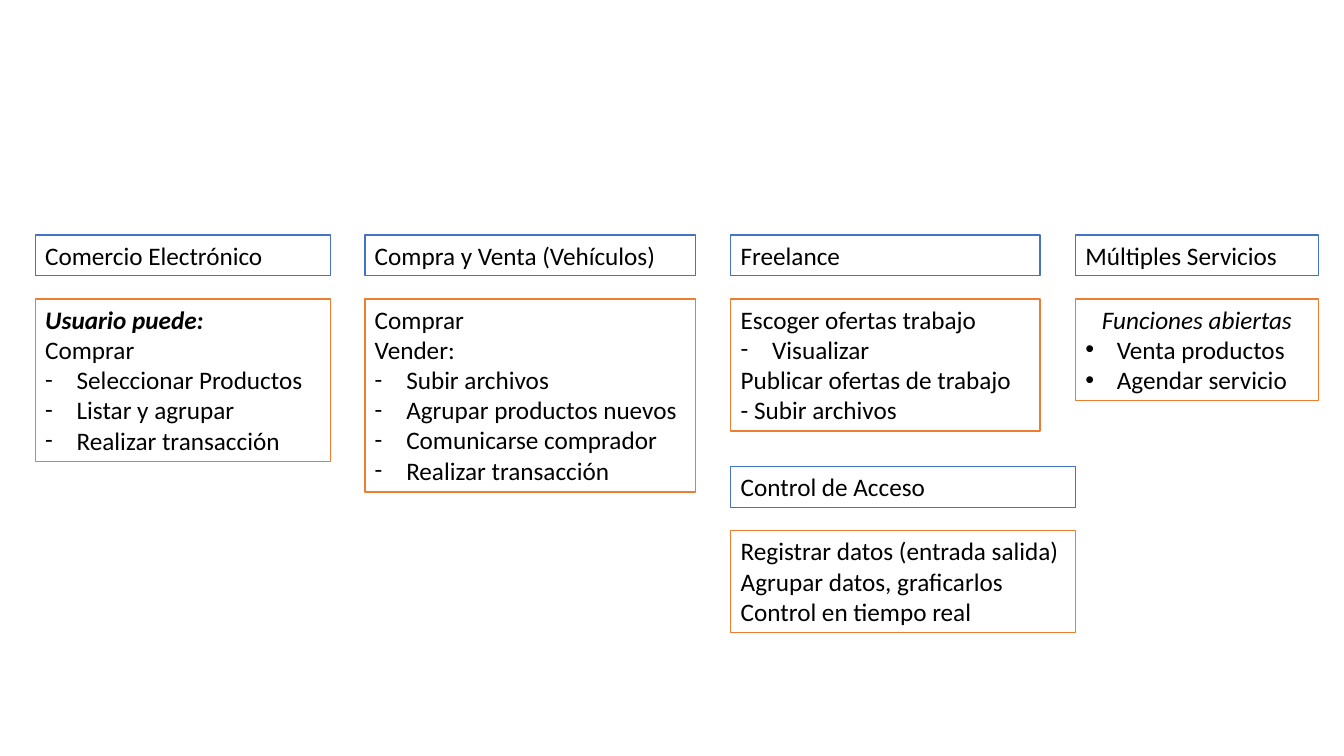
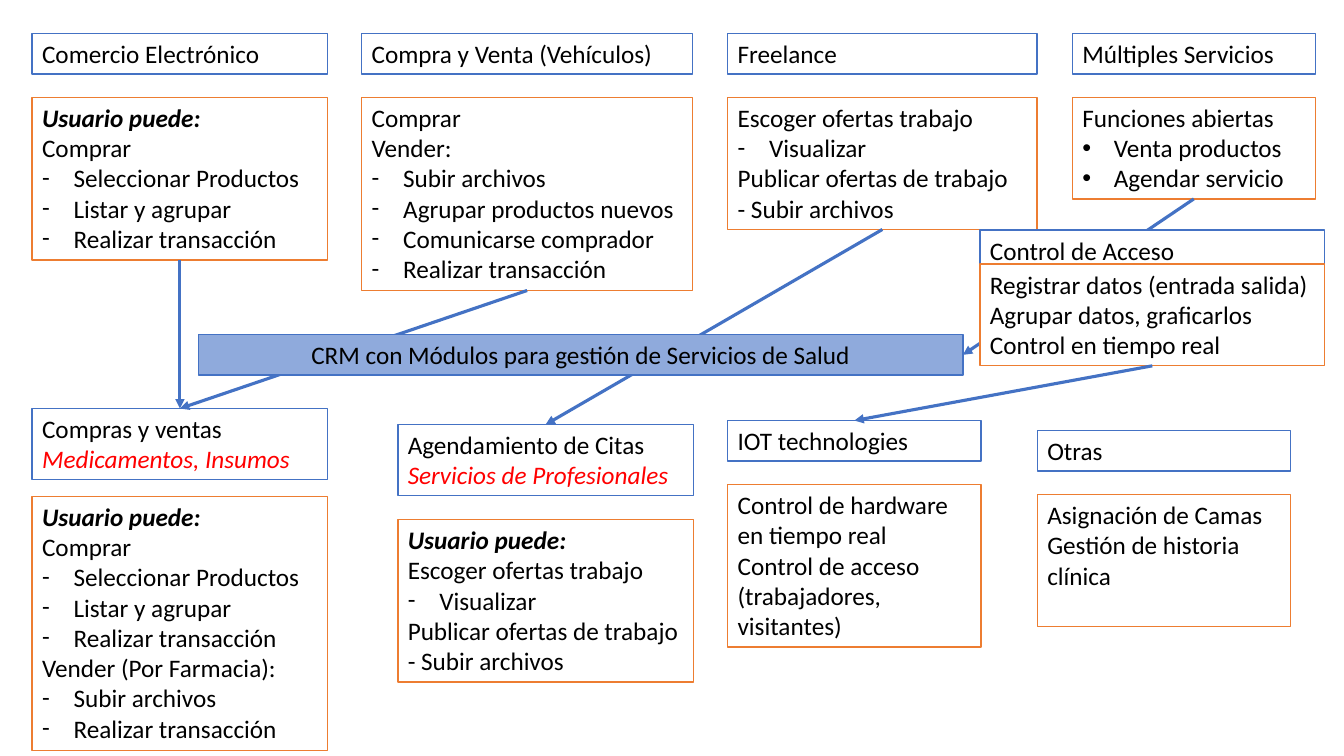
from pptx import Presentation
from pptx.dml.color import RGBColor
from pptx.enum.shapes import MSO_CONNECTOR as Connector, MSO_SHAPE as Shape
from pptx.enum.text import MSO_ANCHOR as Anchor, MSO_AUTO_SIZE as AutoSize, PP_ALIGN as Align
from pptx.oxml.ns import qn
from pptx.util import Pt
from lxml.etree import SubElement

COLORS = {
    "title": "4472C4",
    "body": "ED7D31",
    "banner": "8FAADC",
    "paper": "FFFFFF",
    "text": "000000",
    "accent": "FF0000",
}
STYLES = {
    "plain": {},
    "lead": {"bold": True, "italic": True},
    "centred": {"align": Align.CENTER},
    "centred italic": {"align": Align.CENTER, "italic": True},
    "red": {"italic": True, "color": "accent"},
    "dash": {"bullet": ("Calibri", "-")},
    "dot": {"bullet": ("Arial", "•")},
}
TOP, LEFT, BOTTOM, RIGHT = range(4)
TITLE_STEP = 45.7
COLUMNS = [(25.2, 211), (260.6, 236.2), (522, 221), (768.2, 173.5)]
CONTROL_WIDTH = 246.2


class Deck:
    """Holds the shared style and the slide being drawn."""

    font, size, indent = "Calibri", 18, 22.5
    line_height, padding = 21.8, 7.2

    def __init__(self):
        """Start an empty widescreen presentation."""
        self.presentation = Presentation()
        self.presentation.slide_width = Pt(960)
        self.presentation.slide_height = Pt(540)

    def new_slide(self):
        """Add a blank slide and make it current."""
        self.slide = self.presentation.slides.add_slide(self.presentation.slide_layouts[6])

    def color(self, name):
        """Look up a named colour."""
        return RGBColor.from_string(COLORS[name])

    def add_text(self, paragraph, text, style):
        """Add one run of text in a named style."""
        look = STYLES[style]
        paragraph.alignment = look.get("align", Align.LEFT)
        run = paragraph.add_run()
        run.text = text
        font = run.font
        font.name, font.size = self.font, Pt(self.size)
        font.bold, font.italic = look.get("bold", False), look.get("italic", False)
        font.color.rgb = self.color(look.get("color", "text"))
        if "bullet" in look:
            typeface, character = look["bullet"]
            properties = paragraph._p.get_or_add_pPr()
            properties.set("marL", str(Pt(self.indent)))
            properties.set("indent", str(-Pt(self.indent)))
            SubElement(properties, qn("a:buFont"), typeface=typeface)
            SubElement(properties, qn("a:buChar"), char=character)

    def box(self, left, top, width, lines, line="title", fill="paper", rows=None):
        """Draw a box whose height follows its number of text rows."""
        height = self.padding + self.line_height * (rows or len(lines))
        shape = self.slide.shapes.add_shape(
            Shape.RECTANGLE, Pt(left), Pt(top), Pt(width), Pt(height))
        shape.shadow.inherit = False
        shape.fill.solid()
        shape.fill.fore_color.rgb = self.color(fill)
        shape.line.color.rgb = self.color(line)
        shape.line.width = Pt(1)
        frame = shape.text_frame
        frame.word_wrap = True
        frame.vertical_anchor = Anchor.TOP
        frame.auto_size = AutoSize.NONE if rows else AutoSize.SHAPE_TO_FIT_TEXT
        for index, (style, text) in enumerate(lines):
            paragraph = frame.add_paragraph() if index else frame.paragraphs[0]
            self.add_text(paragraph, text, style)
        return shape

    def section(self, left, top, width, title, body, step=TITLE_STEP, rows=None):
        """Draw a title box with its body box below; return both."""
        return (self.box(left, top, width, title),
                self.box(left, top + step, width, body, line="body", rows=rows))

    def arrow(self, start, start_side, end, end_side):
        """Connect two boxes with an arrow."""
        connector = self.slide.shapes.add_connector(Connector.STRAIGHT, 0, 0, 0, 0)
        connector.begin_connect(start, start_side)
        connector.end_connect(end, end_side)
        connector.line.color.rgb = self.color("title")
        connector.line.width = Pt(2.25)
        properties = connector._element.spPr
        SubElement(properties.find(qn("a:ln")), qn("a:tailEnd"), type="triangle")
        SubElement(properties, qn("a:effectLst"))


def lines(style, *texts):
    """Give several lines the same style."""
    return [(style, text) for text in texts]


USER_CAN = lines("lead", "Usuario puede:")
SHOP = USER_CAN + lines("plain", "Comprar") + lines(
    "dash", "Seleccionar Productos", "Listar y agrupar", "Realizar transacción")
VEHICLES = lines("plain", "Comprar", "Vender:") + lines(
    "dash", "Subir archivos", "Agrupar productos nuevos",
    "Comunicarse comprador", "Realizar transacción")
JOBS = (lines("plain", "Escoger ofertas trabajo") + lines("dash", "Visualizar")
        + lines("plain", "Publicar ofertas de trabajo", "- Subir archivos"))
OPEN_SERVICES = lines("dot", "Venta productos", "Agendar servicio")
CONTROL_TITLE = lines("plain", "Control de Acceso")
CONTROL = lines("plain", "Registrar datos (entrada salida)",
                "Agrupar datos, graficarlos", "Control en tiempo real")
SERVICE_TITLES = ["Comercio Electrónico", "Compra y Venta (Vehículos)",
                  "Freelance", "Múltiples Servicios"]


def draw_services(deck, shift, top, open_style):
    """Draw the row of four services; return their body boxes."""
    bodies = [SHOP, VEHICLES, JOBS, lines(open_style, "Funciones abiertas") + OPEN_SERVICES]
    return [deck.section(left + shift, top, width, lines("plain", title), body)[1]
            for (left, width), title, body in zip(COLUMNS, SERVICE_TITLES, bodies)]


def draw_overview(deck):
    """Draw the slide that lists the services."""
    deck.new_slide()
    draw_services(deck, 0, 167.8, "centred italic")
    deck.section(COLUMNS[2][0], 333.4, CONTROL_WIDTH, CONTROL_TITLE, CONTROL)


def draw_health_modules(deck):
    """Draw the slide that maps the services to health modules."""
    deck.new_slide()
    shop, vehicles, jobs, open_services = draw_services(deck, -2.2, 23.8, "plain")

    sales, _ = deck.section(
        23, 291.8, 211,
        lines("plain", "Compras y ventas") + lines("red", "Medicamentos, Insumos"),
        SHOP + lines("plain", "Vender (Por Farmacia):")
        + lines("dash", "Subir archivos", "Realizar transacción"), step=62.7)
    bookings, _ = deck.section(
        284.2, 303.3, 211,
        lines("plain", "Agendamiento de Citas") + lines("red", "Servicios de Profesionales"),
        USER_CAN + JOBS, step=67.7)
    devices, _ = deck.section(
        519.8, 300.4, 181, lines("plain", "IOT technologies"),
        lines("plain", "Control de hardware en tiempo real",
              "Control de acceso (trabajadores, visitantes)"), rows=5)
    deck.section(
        741, 307.6, 181, lines("plain", "Otras"),
        lines("plain", "Asignación de Camas", "Gestión de historia clínica"), rows=4)

    for source, target in [(jobs, bookings), (vehicles, sales), (shop, sales)]:
        deck.arrow(source, BOTTOM, target, TOP)
    banner = deck.box(
        141.8, 239, 546,
        lines("centred", "CRM con Módulos para gestión de Servicios de Salud"), fill="banner")
    deck.arrow(open_services, BOTTOM, banner, RIGHT)
    _, control = deck.section(700, 164.2, CONTROL_WIDTH, CONTROL_TITLE, CONTROL, step=24.5)
    deck.arrow(control, BOTTOM, devices, TOP)


deck = Deck()
draw_overview(deck)
draw_health_modules(deck)
deck.presentation.save("out.pptx")
